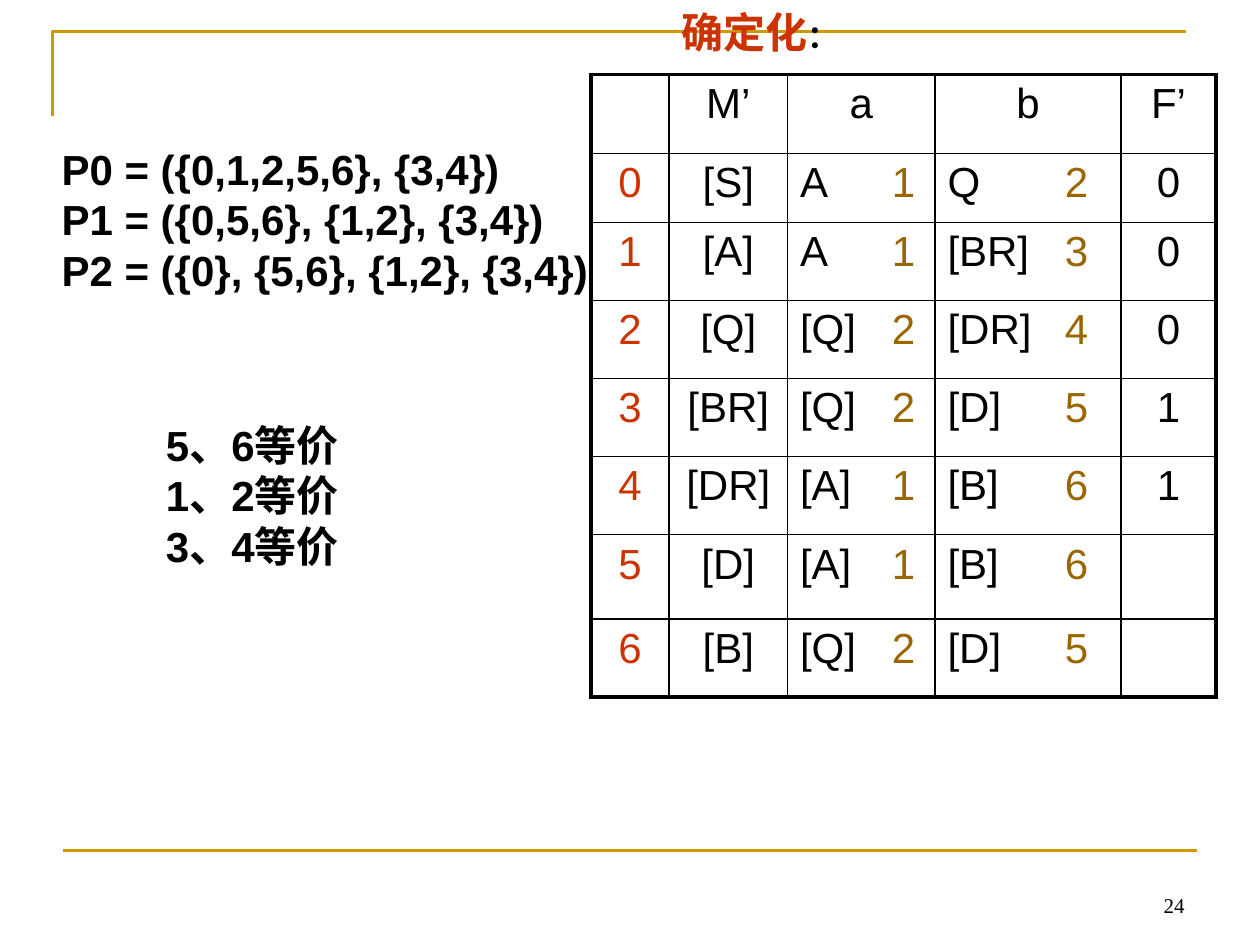
from collections import namedtuple

from lxml import etree
from pptx import Presentation
from pptx.dml.color import RGBColor
from pptx.enum.shapes import MSO_CONNECTOR
from pptx.enum.text import MSO_ANCHOR, PP_ALIGN
from pptx.oxml.ns import qn
from pptx.util import Pt

BLACK = RGBColor(0x00, 0x00, 0x00)
RED = RGBColor(0xCC, 0x33, 0x00)
BROWN = RGBColor(0x99, 0x66, 0x00)
GOLD = RGBColor(0xCC, 0x99, 0x00)

Box = namedtuple("Box", "left top width height")

COLUMN_WIDTHS = [44.8, 67.6, 84.3, 106.4, 54.2]
ROW_HEIGHTS = [45.2, 39.6, 44.6, 44.6, 44.6, 44.6, 48.2, 44.6]
A_TAB, B_TAB = 52.5, 67
INNER_LINE, OUTER_LINE = 1, 2.25

HEADER = ["", "M’", "a", "b", "F’"]
# Each row: subset, (target, state number) on a, the same on b, final mark
STATES = [
    ("[S]", ("A", "1"), ("Q", "2"), "0"),
    ("[A]", ("A", "1"), ("[BR]", "3"), "0"),
    ("[Q]", ("[Q]", "2"), ("[DR]", "4"), "0"),
    ("[BR]", ("[Q]", "2"), ("[D]", "5"), "1"),
    ("[DR]", ("[A]", "1"), ("[B]", "6"), "1"),
    ("[D]", ("[A]", "1"), ("[B]", "6"), ""),
    ("[B]", ("[Q]", "2"), ("[D]", "5"), ""),
]


def write_runs(paragraph, text, color=BLACK, size=24, font="Arial", bold=False):
    run = paragraph.add_run()
    run.text = text
    run.font.name = font
    run.font.size = Pt(size)
    run.font.bold = bold
    run.font.color.rgb = color


def add_text(slide, box, lines, align=PP_ALIGN.LEFT, anchor=MSO_ANCHOR.TOP,
             wrap=True, **style):
    """Add a text box with one paragraph per line and return its frame."""
    frame = slide.shapes.add_textbox(*map(Pt, box)).text_frame
    frame.word_wrap = wrap
    frame.vertical_anchor = anchor
    for index, line in enumerate(lines):
        paragraph = frame.add_paragraph() if index else frame.paragraphs[0]
        paragraph.alignment = align
        write_runs(paragraph, line, **style)
    return frame


def add_frame_lines(slide, box):
    """Draw the corner bracket and the footer rule inside the box."""
    builder = slide.shapes.build_freeform(Pt(box.left), Pt(box.top + 48.2), scale=1.0)
    builder.add_line_segments(
        [(Pt(box.left), Pt(box.top)), (Pt(box.left + 648), Pt(box.top))], close=False)
    bracket = builder.convert_to_shape()
    bracket.shadow.inherit = False
    bracket.fill.background()

    bottom = Pt(box.top + box.height)
    right = box.left + box.width
    rule = slide.shapes.add_connector(
        MSO_CONNECTOR.STRAIGHT, Pt(right - 648), bottom, Pt(right), bottom)
    etree.SubElement(rule._element.spPr, qn("a:effectLst"))

    for shape in (bracket, rule):
        shape.line.color.rgb = GOLD
        shape.line.width = Pt(1.5)


def set_borders(cell, widths):
    properties = cell._tc.get_or_add_tcPr()
    for position, (side, width) in enumerate(widths.items()):
        line = etree.Element(qn(f"a:ln{side}"), w=str(Pt(width)))
        fill = etree.SubElement(line, qn("a:solidFill"))
        etree.SubElement(fill, qn("a:srgbClr"), val=str(BLACK))
        properties.insert(position, line)


def add_tab_stop(paragraph, position):
    tabs = etree.SubElement(paragraph._p.get_or_add_pPr(), qn("a:tabLst"))
    etree.SubElement(tabs, qn("a:tab"), pos=str(Pt(position)), algn="l")


def fill_cell(cell, content, color, tab):
    """Write centred text, or a target and its state number at a tab stop."""
    paragraph = cell.text_frame.paragraphs[0]
    if isinstance(content, tuple):
        target, number = content
        add_tab_stop(paragraph, tab)
        write_runs(paragraph, target + "\t")
        write_runs(paragraph, number, color=BROWN)
    elif content:
        paragraph.alignment = PP_ALIGN.CENTER
        write_runs(paragraph, content, color=color)


def add_transition_table(slide, box):
    rows = [HEADER] + [(str(number), *state) for number, state in enumerate(STATES)]
    last_row, last_column = len(rows) - 1, len(HEADER) - 1
    table = slide.shapes.add_table(len(rows), len(HEADER), *map(Pt, box)).table
    table.first_row = table.horz_banding = False
    for column, width in zip(table.columns, COLUMN_WIDTHS):
        column.width = Pt(width)
    for row, height in zip(table.rows, ROW_HEIGHTS):
        row.height = Pt(height)

    for r, contents in enumerate(rows):
        for c, content in enumerate(contents):
            cell = table.cell(r, c)
            cell.fill.background()
            outer = {"L": c == 0, "R": c == last_column, "T": r == 0, "B": r == last_row}
            set_borders(cell, {side: OUTER_LINE if edge else INNER_LINE
                               for side, edge in outer.items()})
            fill_cell(cell, content, RED if c == 0 else BLACK, A_TAB if c == 2 else B_TAB)


def add_title(slide, box):
    frame = add_text(slide, box, ["确定化"], color=RED, bold=True, wrap=False)
    write_runs(frame.paragraphs[0], "：", size=18, bold=True)


def main():
    presentation = Presentation()
    presentation.slide_width, presentation.slide_height = Pt(720), Pt(540)
    slide = presentation.slides.add_slide(presentation.slide_layouts[6])

    add_frame_lines(slide, Box(30, 18, 654, 468))
    add_text(slide, Box(516, 492, 168, 36), ["24"], align=PP_ALIGN.RIGHT,
             anchor=MSO_ANCHOR.BOTTOM, size=12, font="Times New Roman")
    add_transition_table(slide, Box(337.6, 42.4, sum(COLUMN_WIDTHS), sum(ROW_HEIGHTS)))
    add_text(slide, Box(87.8, 236.2, 183, 93.6),
             ["5、6等价", "1、2等价", "3、4等价"], bold=True)
    add_title(slide, Box(382.4, 0, 105, 36))
    add_text(slide, Box(28.1, 78.5, 337.7, 93.6),
             ["P0 = ({0,1,2,5,6}, {3,4})",
              "P1 = ({0,5,6}, {1,2}, {3,4})",
              "P2 = ({0}, {5,6}, {1,2}, {3,4})"], bold=True)

    presentation.save("out.pptx")


if __name__ == "__main__":
    main()
